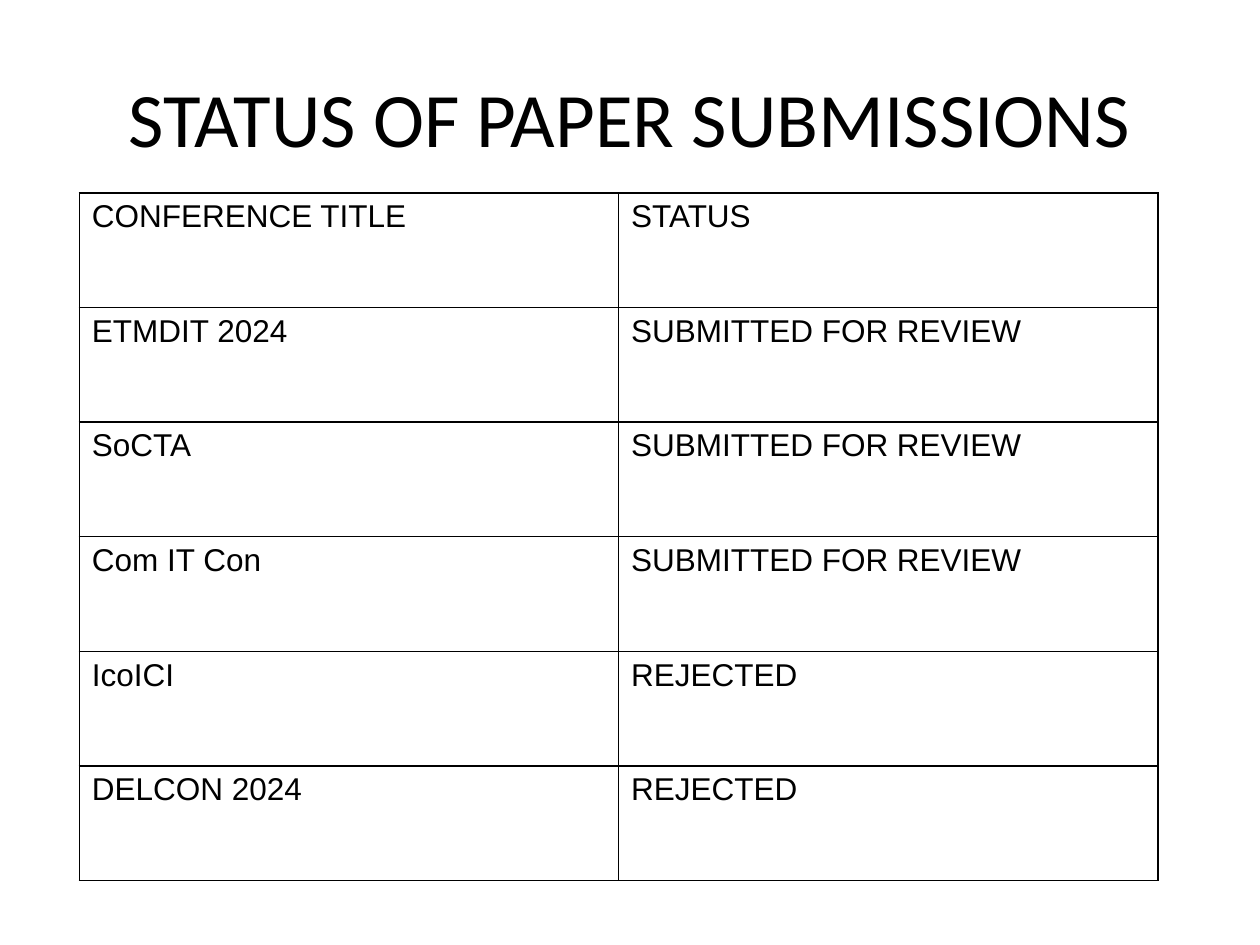
from lxml import etree
from pptx import Presentation
from pptx.dml.color import RGBColor
from pptx.enum import text
from pptx.oxml.ns import qn
from pptx.util import Inches, Pt

BLACK = RGBColor(0x00, 0x00, 0x00)

TITLE = "STATUS OF PAPER SUBMISSIONS"
SUBMISSIONS = [
    ("CONFERENCE TITLE", "STATUS"),
    ("ETMDIT 2024", "SUBMITTED FOR REVIEW"),
    ("SoCTA", "SUBMITTED FOR REVIEW"),
    ("Com IT Con", "SUBMITTED FOR REVIEW"),
    ("IcoICI", "REJECTED"),
    ("DELCON 2024", "REJECTED"),
]
COLUMN_WIDTH, ROW_HEIGHT = 4.28, 0.91


def style_paragraph(paragraph, font_name, size):
    paragraph.font.name = font_name
    paragraph.font.size = Pt(size)
    paragraph.font.color.rgb = BLACK


def add_borders(cell, color, width):
    properties = cell._tc.get_or_add_tcPr()
    for side in ("a:lnL", "a:lnR", "a:lnT", "a:lnB"):
        line = etree.SubElement(properties, qn(side), w=str(Pt(width)))
        fill = etree.SubElement(line, qn("a:solidFill"))
        etree.SubElement(fill, qn("a:srgbClr"), val=str(color))


def add_title(slide):
    box = slide.shapes.add_textbox(Inches(0.5), Inches(0.3), Inches(9), Inches(1.25))
    frame = box.text_frame
    frame.word_wrap = True
    frame.vertical_anchor = text.MSO_ANCHOR.MIDDLE
    paragraph = frame.paragraphs[0]
    paragraph.text = TITLE
    paragraph.alignment = text.PP_ALIGN.CENTER
    style_paragraph(paragraph, "Calibri", 44)


def add_status_table(slide):
    rows, columns = len(SUBMISSIONS), len(SUBMISSIONS[0])
    table = slide.shapes.add_table(
        rows, columns, Inches(0.63), Inches(1.53),
        Inches(columns * COLUMN_WIDTH), Inches(rows * ROW_HEIGHT)).table
    table.first_row = table.horz_banding = False
    for row, values in enumerate(SUBMISSIONS):
        for column, value in enumerate(values):
            cell = table.cell(row, column)
            cell.text = value
            style_paragraph(cell.text_frame.paragraphs[0], "Arial", 18)
            add_borders(cell, BLACK, 1)
            cell.fill.background()


def main():
    presentation = Presentation()
    presentation.slide_width, presentation.slide_height = Inches(10), Inches(7.5)
    slide = presentation.slides.add_slide(presentation.slide_layouts[6])
    add_title(slide)
    add_status_table(slide)
    presentation.save("out.pptx")


if __name__ == "__main__":
    main()
